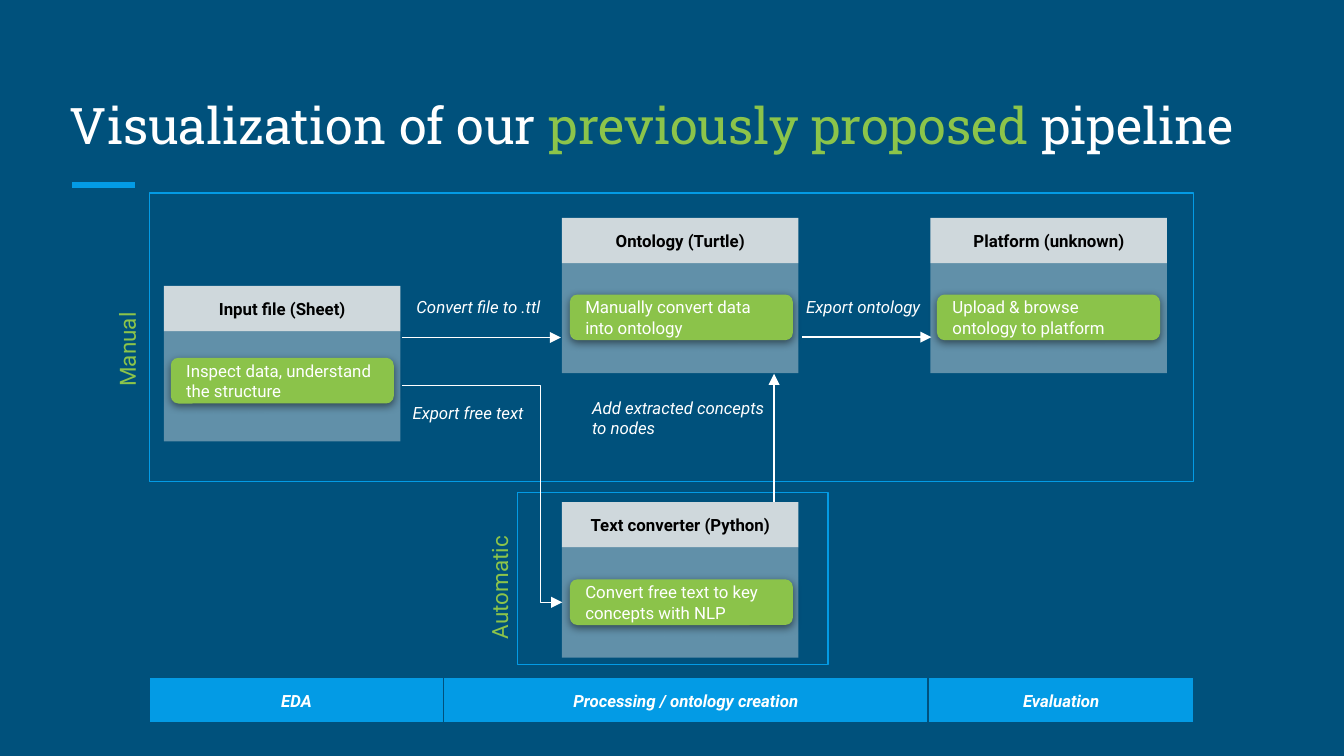
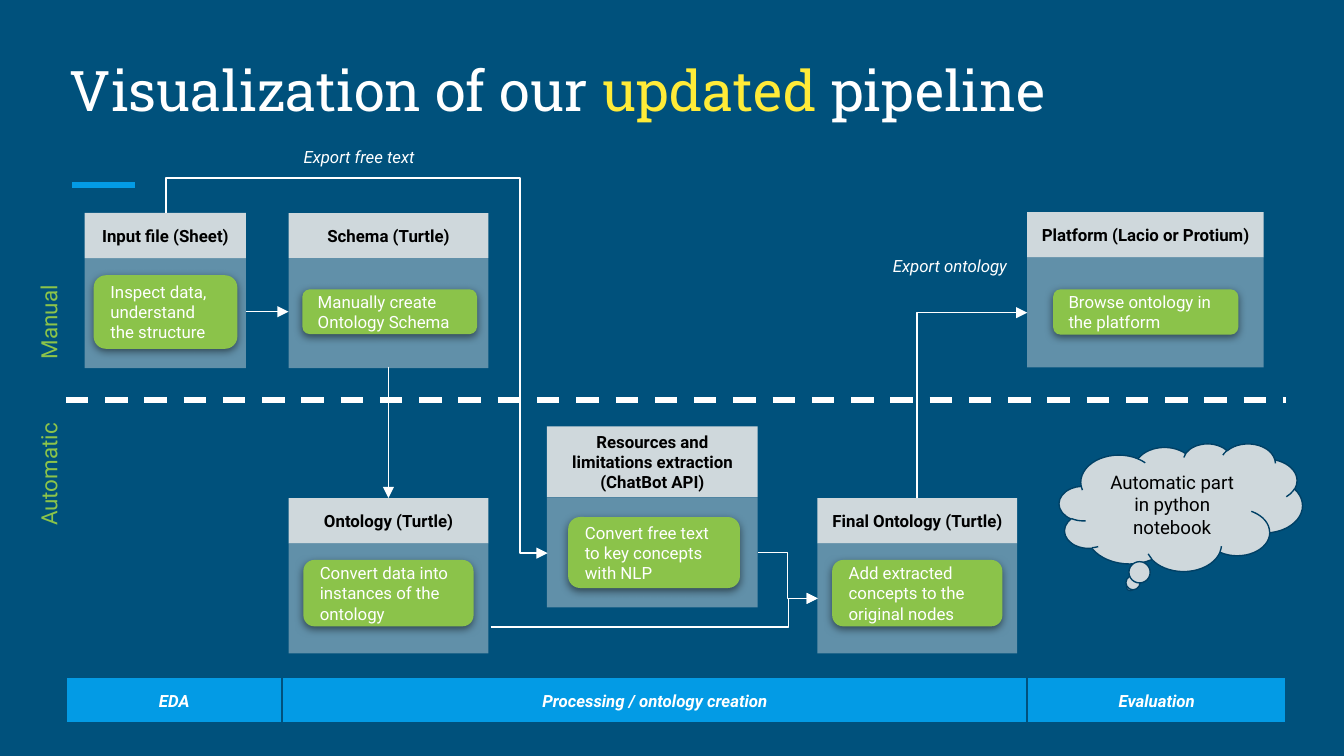
"""Build two slides that compare the proposed and the updated ontology pipeline."""
import pptx
import pptx.dml.color
import pptx.enum.dml
import pptx.enum.shapes
import pptx.enum.text
import pptx.oxml
import pptx.oxml.ns
import pptx.util

Pt = pptx.util.Pt
qn = pptx.oxml.ns.qn
SHAPE = pptx.enum.shapes.MSO_SHAPE
CONNECTOR = pptx.enum.shapes.MSO_CONNECTOR
ALIGN = pptx.enum.text.PP_ALIGN
ANCHOR = pptx.enum.text.MSO_ANCHOR

COLORS = {
    "background": "00517C", "blue": "039BE5", "phase_line": "00517D", "white": "FFFFFF",
    "black": "000000", "gray": "CFD8DC", "green": "8BC34A", "lime": "8CC44A",
    "yellow": "FFEB38", "cloud_line": "004065",
}
BODY_FONT = "Roboto"
TITLE_FONT = "Roboto Slab"
CARD_BODY_HEIGHT = 59
PHASES = ["EDA", "Processing / ontology creation", "Evaluation"]
PHASE_TOP, PHASE_HEIGHT = 363, 24.3

PROPOSED = {
    "title": [("Visualization of our ", "white"), ("previously proposed ", "lime"),
              ("pipeline", "white")],
    "title_top": 36,
    "title_size": 27,
    "frames": [(80, 103.5, 559.5, 154.5), (277.2, 264, 166.5, 92)],
    "cards": [
        ("Input file (Sheet)", (87.8, 153.2, 126.7, 24.3),
         "Inspect data, understand the structure", (91.5, 191.7, 119.5, 24.5)),
        ("Text converter (Python)", (301, 269, 126.7, 24.3),
         "Convert free text to key concepts with NLP", (305.3, 310.4, 119.5, 24.5)),
        ("Ontology (Turtle)", (301, 116.7, 126.7, 24.3),
         "Manually convert data into ontology", (305.3, 157.8, 119.5, 24.5)),
        ("Platform (unknown)", (498.5, 116.7, 126.7, 24.3),
         "Upload & browse ontology to platform", (502, 157.8, 119.5, 24.5)),
    ],
    "labels": [
        ("Add extracted concepts to nodes", (310.1, 206, 111, 24.5)),
        ("Export ontology", (424.8, 153.4, 84.2, 24.5)),
        ("Convert file to .ttl", (216, 153.4, 84.2, 24.5)),
        ("Export free text", (213.9, 210.2, 75.6, 24.5)),
    ],
    "modes": [("Manual", (29.5, 170.6, 67.7, 19.4)),
              ("Automatic", (225.4, 293, 84.2, 28.8))],
    "arrows": [(429.8, 180.6, 499, 180.6), (414.7, 269, 414.7, 200.2),
               (215.3, 180.8, 300.5, 180.8)],
    "elbows": [("bentConnector3", (215.3, 206.7, 86, 116), 0, False, [0.864])],
    "phase_edges": [80.2, 237.5, 497.2, 639.7],
}

UPDATED = {
    "title": [("Visualization of our ", "white"), ("updated ", "yellow"),
              ("pipeline", "white")],
    "title_top": 18.7,
    "title_size": 30,
    "frames": [],
    "cards": [
        ("Input file (Sheet)", (45.4, 114, 86.4, 24.3),
         "Inspect data, understand the structure", (50.2, 147.5, 77, 39.4)),
        ("Resources and limitations extraction (ChatBot API)", (293, 228.4, 113, 38),
         "Convert free text to key concepts with NLP", (304.4, 277, 92, 38)),
        ("Schema (Turtle)", (154.6, 114.2, 107, 24),
         "Manually create Ontology Schema", (162, 155, 93.6, 24)),
        ("Platform (Lacio or Protium)", (550.3, 113.6, 126.7, 24.3),
         "Browse ontology in the platform", (564.2, 155, 99.2, 24.3)),
        ("Ontology (Turtle)", (154.6, 266.8, 107, 24.3),
         "Convert data into instances of the ontology", (162.5, 300, 91.2, 35.6)),
        ("Final Ontology (Turtle)", (437.9, 266.8, 107, 24.3),
         "Add extracted concepts to the original nodes", (445.8, 300, 91.2, 35.6)),
    ],
    "labels": [("Export ontology", (471.3, 131.3, 86.4, 22.3)),
               ("Export free text", (155.5, 73, 75.6, 24.5))],
    "modes": [("Manual", (-11.5, 147.6, 74.9, 28.8)),
              ("Automatic", (-11.5, 237, 74.9, 28.8))],
    "arrows": [(131.8, 167, 154.6, 167), (208.1, 196.6, 208.1, 266.8)],
    "elbows": [
        ("bentConnector3", (406, 296, 32, 24.6), 0, False, [0.5]),
        ("bentConnector2", (471.1, 187.7, 99.4, 59), 270, False, []),
        ("bentConnector4", (100, 103, 182.2, 204.5), 270, True, [-0.103, 0.928]),
        ("bentConnector3", (262.8, 320.6, 175.2, 15.3), 180, True, [0.91]),
    ],
    "phase_edges": [35.5, 151.2, 550.3, 689],
}
DIVIDER = (35.3, 214.2, 689, 214.2)
CLOUD = ("Automatic part in python notebook", (567.4, 237.6, 130.3, 68.4))


def rgb(name):
    return pptx.dml.color.RGBColor.from_string(COLORS[name])


def write(box, text, size=9, color="white", font=BODY_FONT, bold=False, italic=False,
          align=ALIGN.LEFT, anchor=ANCHOR.MIDDLE):
    """Fill a box with one paragraph; text is a string or a list of (string, colour)."""
    frame = box.text_frame
    frame.word_wrap = True
    frame.vertical_anchor = anchor
    frame.margin_left = frame.margin_right = Pt(7.2)
    frame.margin_top = frame.margin_bottom = Pt(7.2)
    para = frame.paragraphs[0]
    para.alignment = align
    for words, tint in [(text, color)] if isinstance(text, str) else text:
        span = para.add_run()
        span.text = words
        span.font.name = font
        span.font.size = Pt(size)
        span.font.bold = bold
        span.font.italic = italic
        span.font.color.rgb = rgb(tint)


def add_box(page, kind, place, fill=None, line=None):
    box = page.shapes.add_shape(kind, *map(Pt, place))
    box.shadow.inherit = False
    if fill:
        box.fill.solid()
        box.fill.fore_color.rgb = rgb(fill)
    else:
        box.fill.background()
    if line:
        box.line.color.rgb = rgb(line)
        box.line.width = Pt(0.75)
    else:
        box.line.fill.background()
    return box


def add_label(page, text, place, rotation=0, **style):
    box = page.shapes.add_textbox(*map(Pt, place))
    box.rotation = rotation
    write(box, text, **style)


def add_child(parent, tag, **attributes):
    child = parent.makeelement(qn(tag), {key: str(value) for key, value in attributes.items()})
    parent.append(child)
    return child


def add_line(page, ends, kind=CONNECTOR.STRAIGHT, color="white", width=0.75, arrow=True):
    line = page.shapes.add_connector(kind, *map(Pt, ends))
    line.line.color.rgb = rgb(color)
    line.line.width = Pt(width)
    properties = line.element.spPr
    if arrow:
        add_child(properties.find(qn("a:ln")), "a:tailEnd", type="triangle")
    add_child(properties, "a:effectLst")
    return line


def add_elbow(page, preset, place, rotation, flip, bends):
    left, top, width, height = place
    line = add_line(page, (left, top, left + width, top + height), CONNECTOR.ELBOW)
    transform = line.element.spPr.find(qn("a:xfrm"))
    transform.set("rot", str(rotation * 60000))
    transform.set("flipH", str(int(flip)))
    geometry = line.element.spPr.find(qn("a:prstGeom"))
    geometry.set("prst", preset)
    guides = geometry.find(qn("a:avLst"))
    for number, bend in enumerate(bends, 1):
        add_child(guides, "a:gd", name=f"adj{number}", fmla=f"val {round(bend * 100000)}")


def add_card(page, heading, head_place, note, note_place):
    left, top, width, height = head_place
    body = add_box(page, SHAPE.RECTANGLE, (left, top + height, width, CARD_BODY_HEIGHT), "gray")
    add_child(next(body.element.spPr.iter(qn("a:srgbClr"))), "a:alpha", val=47000)
    head = add_box(page, SHAPE.RECTANGLE, head_place, "gray")
    write(head, heading, color="black", bold=True, align=ALIGN.CENTER)
    step = add_box(page, SHAPE.ROUNDED_RECTANGLE, note_place, "green")
    write(step, note)
    effects = step.element.spPr.find(qn("a:effectLst"))
    shadow = add_child(effects, "a:outerShdw", blurRad=int(Pt(4.5)), dist=int(Pt(1.5)),
                       dir=90 * 60000, algn="bl", rotWithShape=0)
    add_child(add_child(shadow, "a:srgbClr", val=COLORS["black"]), "a:alpha", val=50000)


def add_pipeline(deck, content):
    page = deck.slides.add_slide(deck.slide_layouts[6])
    page.background.fill.solid()
    page.background.fill.fore_color.rgb = rgb("background")
    add_line(page, (38.6, 99.2, 72.3, 99.2), color="blue", width=3, arrow=False)
    add_label(page, content["title"], (30.4, content["title_top"], 658.8, 54),
              size=content["title_size"], font=TITLE_FONT, anchor=ANCHOR.BOTTOM)
    for place in content["frames"]:
        add_box(page, SHAPE.RECTANGLE, place, line="blue")
    for card in content["cards"]:
        add_card(page, *card)
    for text, place in content["labels"]:
        add_label(page, text, place, italic=True, anchor=ANCHOR.TOP)
    for text, place in content["modes"]:
        add_label(page, text, place, rotation=270, size=12, color="lime", anchor=ANCHOR.TOP)
    for ends in content["arrows"]:
        add_line(page, ends)
    for elbow in content["elbows"]:
        add_elbow(page, *elbow)
    edges = content["phase_edges"]
    for name, left, right in zip(PHASES, edges, edges[1:]):
        band = add_box(page, SHAPE.RECTANGLE, (left, PHASE_TOP, right - left, PHASE_HEIGHT),
                       "blue", "phase_line")
        write(band, name, bold=True, italic=True, align=ALIGN.CENTER)
    return page


def main():
    deck = pptx.Presentation()
    deck.slide_width, deck.slide_height = Pt(720), Pt(405)
    add_pipeline(deck, PROPOSED)
    page = add_pipeline(deck, UPDATED)
    divider = add_line(page, DIVIDER, width=3, arrow=False)
    divider.line.dash_style = pptx.enum.dml.MSO_LINE.DASH
    text, place = CLOUD
    cloud = add_box(page, SHAPE.CLOUD_CALLOUT, place, "gray", "cloud_line")
    cloud.adjustments[0], cloud.adjustments[1] = -0.208, 0.625
    write(cloud, text, size=10, color="black", align=ALIGN.CENTER)
    deck.save("out.pptx")


if __name__ == "__main__":
    main()
